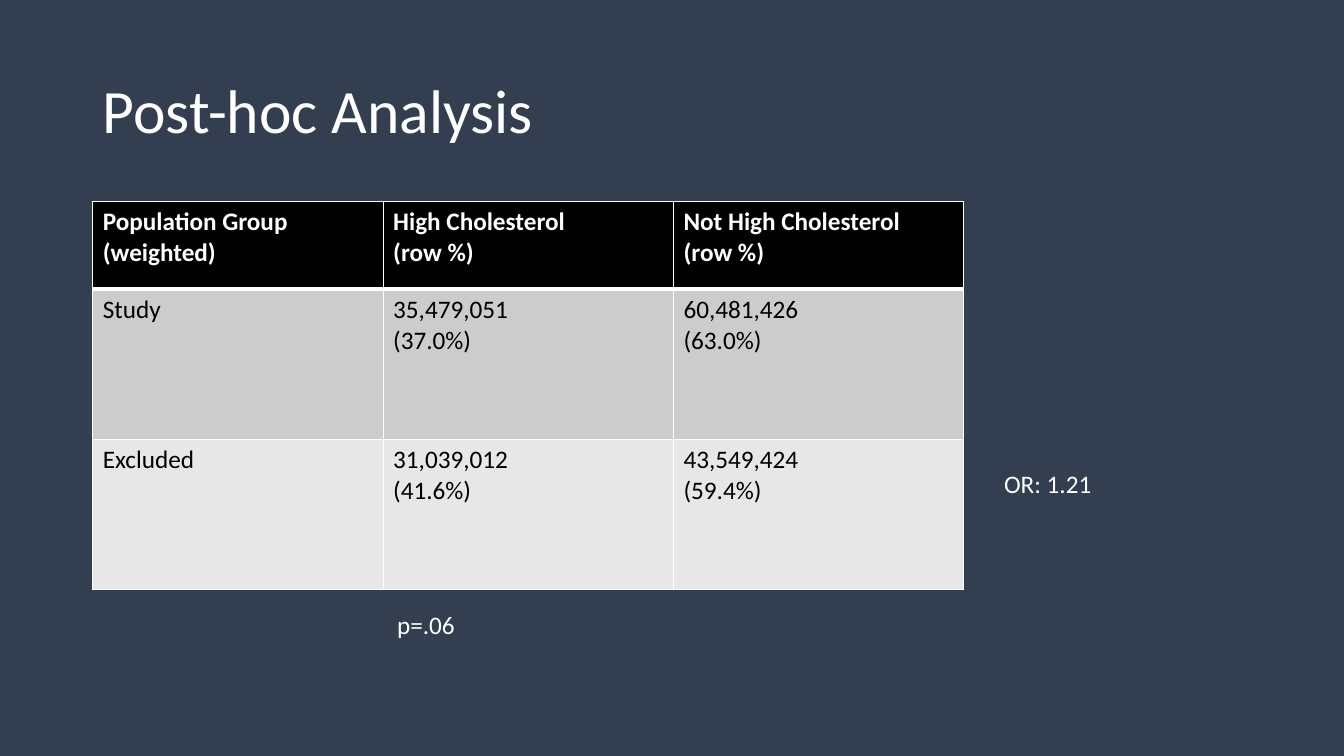
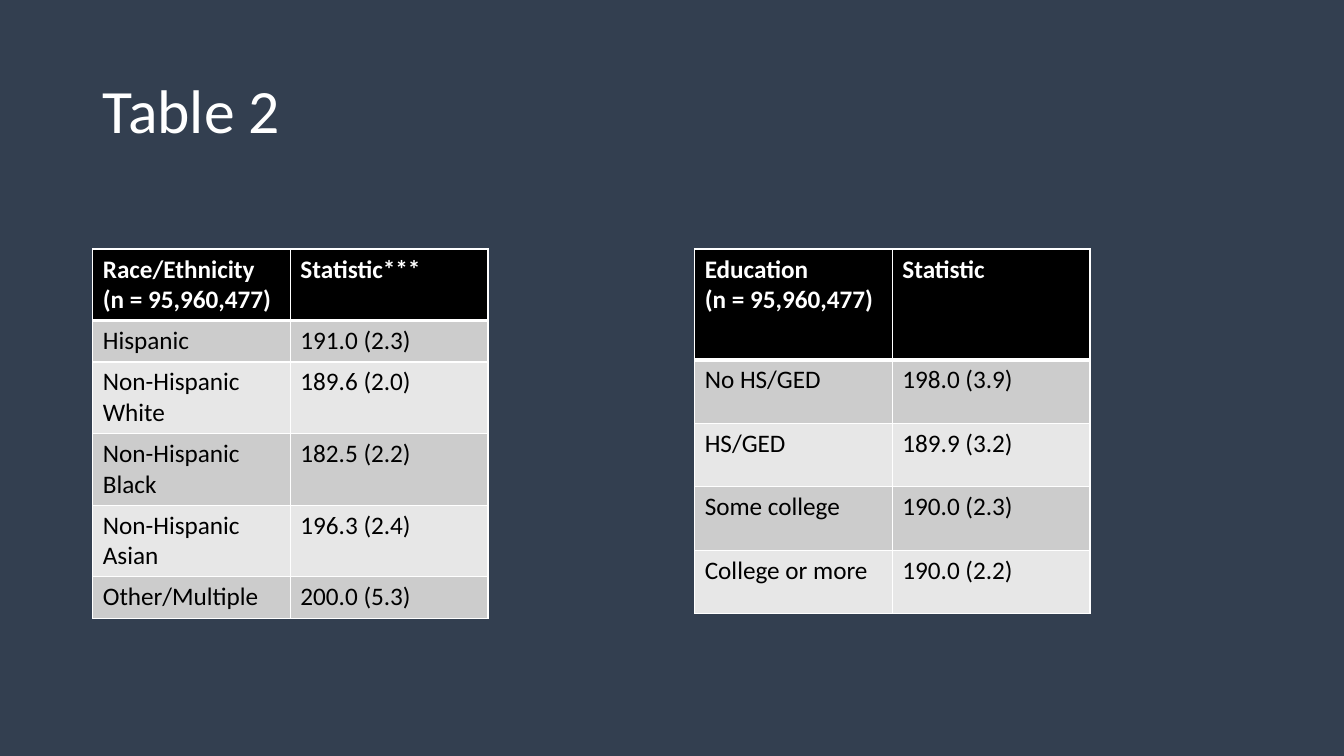
from dataclasses import dataclass
from lxml import etree
from pptx import Presentation
from pptx.dml.color import RGBColor
from pptx.enum import text
from pptx.oxml import ns
from pptx.util import Inches, Pt


@dataclass(frozen=True)
class Theme:
    back: str = "333F50"
    light: str = "FFFFFF"
    dark: str = "000000"
    bands: tuple = ("CCCCCC", "E7E7E7")
    font: str = "Calibri"
    head: int = 44
    body: int = 18
    thin: int = 1
    thick: int = 3


THEME = Theme()
LEFT = 0.92


def style(frame, size, color, bold=False):
    for para in frame.paragraphs:
        font = para.font
        font.name, font.size, font.bold = THEME.font, Pt(size), bold
        font.color.rgb = RGBColor.from_string(color)


def place(shape, box):
    shape.left, shape.top, shape.width, shape.height = map(Inches, box)


def start():
    deck = Presentation()
    deck.slide_width, deck.slide_height = Inches(13.33), Inches(7.5)
    fill = deck.slide_master.background.fill
    fill.solid()
    fill.fore_color.rgb = RGBColor.from_string(THEME.back)
    layout = deck.slide_layouts.get_by_name("Title Only")
    place(layout.placeholders[0], (LEFT, 0.4, 11.5, 1.45))
    return deck, layout


def add_page(deck, layout, words):
    slide = deck.slides.add_slide(layout)
    frame = slide.shapes.title.text_frame
    frame.text = words
    frame.vertical_anchor = text.MSO_ANCHOR.MIDDLE
    para = frame.paragraphs[0]
    para.alignment = text.PP_ALIGN.LEFT
    para.line_spacing = 0.9
    style(frame, THEME.head, THEME.light)
    return slide


def add_note(slide, box, words):
    note = slide.shapes.add_textbox(*map(Inches, box))
    frame = note.text_frame
    frame.word_wrap = True
    frame.auto_size = text.MSO_AUTO_SIZE.SHAPE_TO_FIT_TEXT
    frame.text = words
    style(frame, THEME.body, THEME.light)


def add_edge(cell, side, width):
    props = cell._tc.get_or_add_tcPr()
    line = etree.SubElement(props, ns.qn(f"a:ln{side}"), w=str(Pt(width)))
    fill = etree.SubElement(line, ns.qn("a:solidFill"))
    etree.SubElement(fill, ns.qn("a:srgbClr"), val=THEME.light)


def fill_cell(cell, words, row):
    head = row == 0
    thick = {0: "B", 1: "T"}.get(row)
    for side in "LRTB":
        add_edge(cell, side, THEME.thick if side == thick else THEME.thin)
    cell.fill.solid()
    shade = THEME.dark if head else THEME.bands[(row - 1) % 2]
    cell.fill.fore_color.rgb = RGBColor.from_string(shade)
    cell.text = words
    style(cell.text_frame, THEME.body, THEME.light if head else THEME.dark, head)


def add_grid(slide, spot, wide, highs, rows):
    count = len(rows[0])
    box = (*spot, wide * count, sum(highs))
    grid = slide.shapes.add_table(len(rows), count, *map(Inches, box)).table
    for col in grid.columns:
        col.width = Inches(wide)
    for i, (high, row) in enumerate(zip(highs, rows)):
        grid.rows[i].height = Inches(high)
        for j, words in enumerate(row):
            fill_cell(grid.cell(i, j), words, i)


def add_post(deck, layout):
    slide = add_page(deck, layout, "Post-hoc Analysis")
    add_grid(slide, (LEFT, 2), 2.88, [0.87, 1.49, 1.49], [
        ("Population Group\n(weighted)", "High Cholesterol\n(row %)",
         "Not High Cholesterol\n(row %)"),
        ("Study", "35,479,051\n(37.0%)", "60,481,426\n(63.0%)"),
        ("Excluded", "31,039,012\n(41.6%)", "43,549,424\n(59.4%)"),
    ])
    add_note(slide, (3.84, 6, 2.83, 0.4), "p=.06")
    add_note(slide, (9.86, 4.6, 2.56, 0.4), "OR: 1.21")


def add_pair(deck, layout):
    slide = add_page(deck, layout, "Table 2")
    top, wide = 2.47, 1.96
    one, two = 0.41, 0.71
    add_grid(slide, (LEFT, top), wide, [two, one, two, two, two, one], [
        ("Race/Ethnicity (n = 95,960,477)", "Statistic***"),
        ("Hispanic", "191.0 (2.3)"),
        ("Non-Hispanic White", "189.6 (2.0)"),
        ("Non-Hispanic Black", "182.5 (2.2)"),
        ("Non-Hispanic Asian", "196.3 (2.4)"),
        ("Other/Multiple", "200.0 (5.3)"),
    ])
    add_grid(slide, (6.89, top), wide, [1.1] + [0.63] * 4, [
        ("Education\n(n = 95,960,477)", "Statistic"),
        ("No HS/GED", "198.0 (3.9)"),
        ("HS/GED", "189.9 (3.2)"),
        ("Some college", "190.0 (2.3)"),
        ("College or more", "190.0 (2.2)"),
    ])


def main():
    deck, layout = start()
    add_post(deck, layout)
    add_pair(deck, layout)
    deck.save("out.pptx")


if __name__ == "__main__":
    main()
